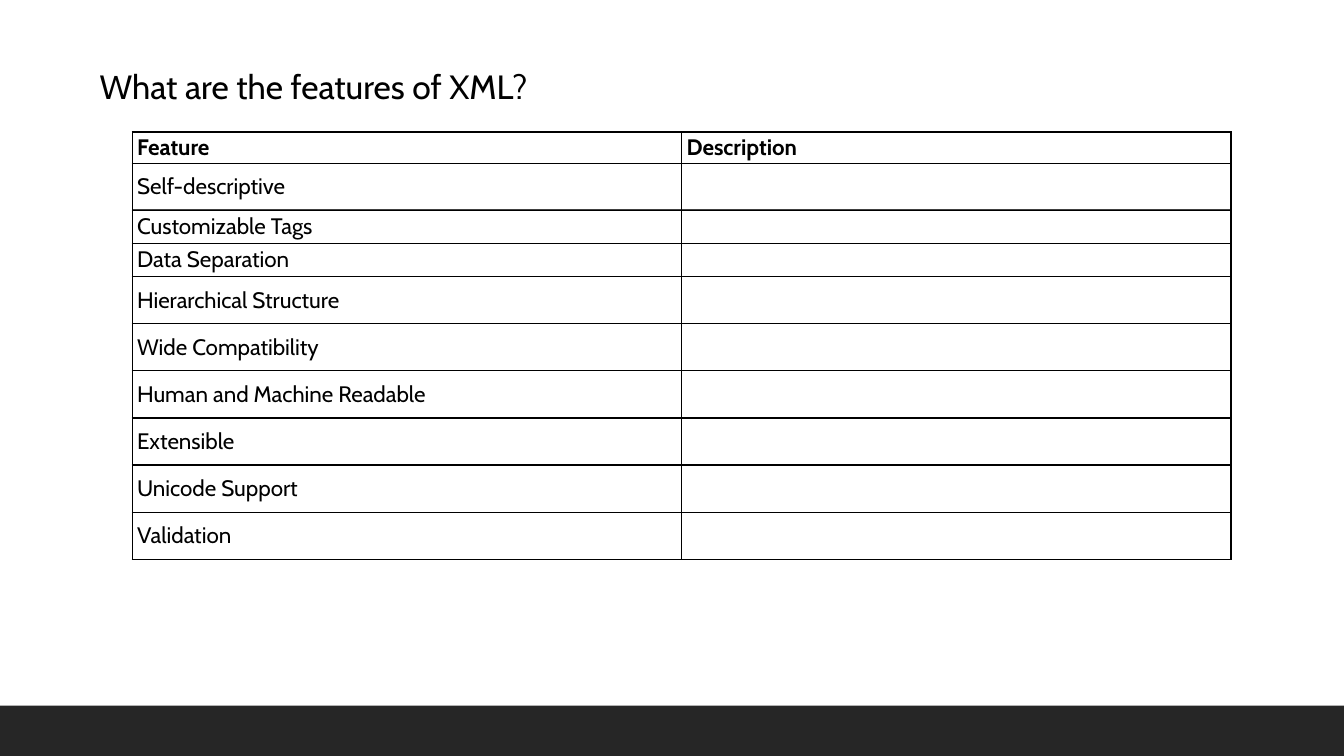
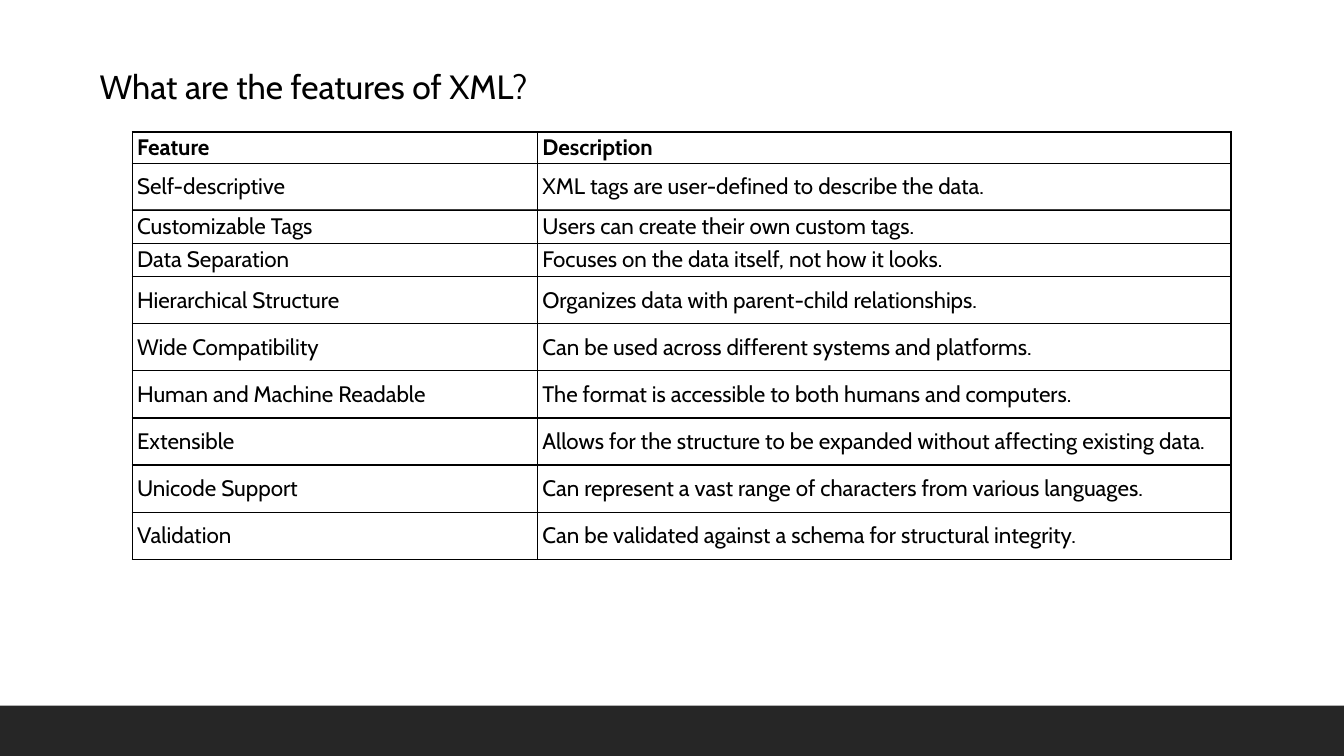
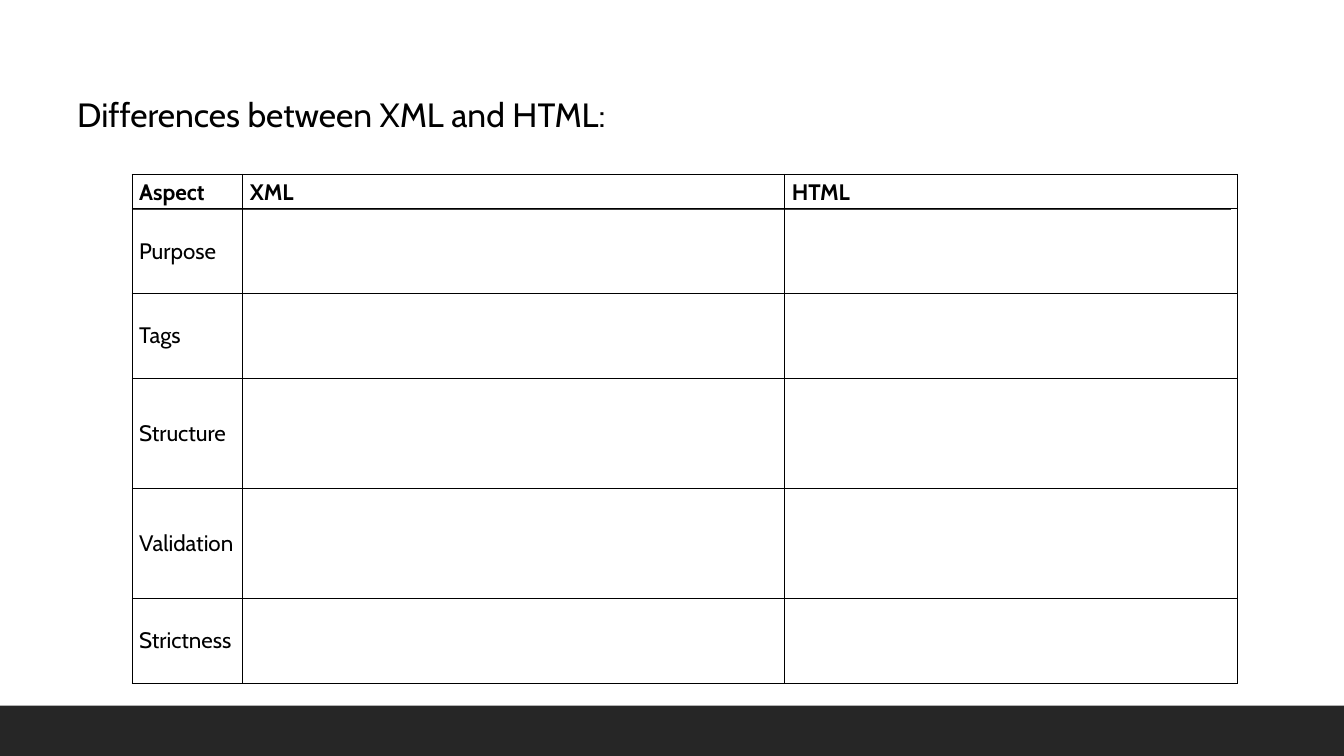
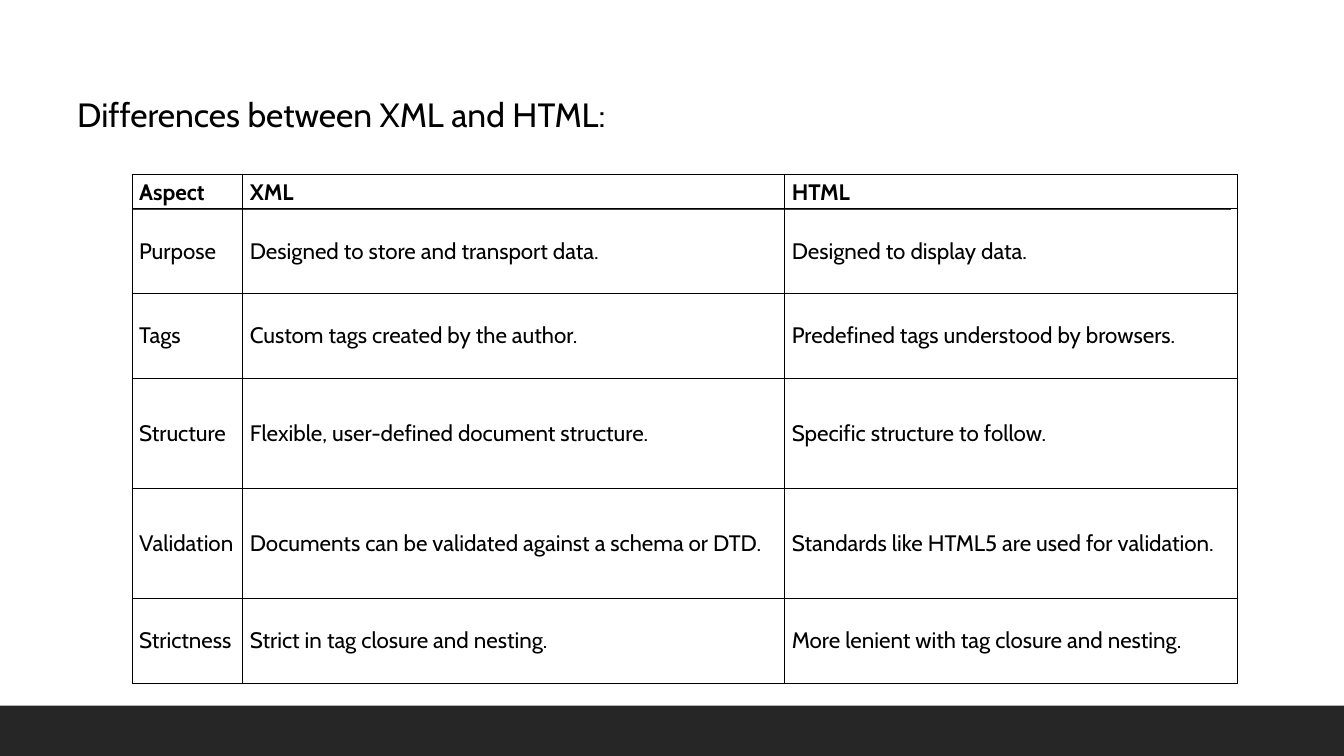
from dataclasses import dataclass

from lxml import etree
from pptx import Presentation, util as u
from pptx.dml.color import RGBColor
from pptx.enum import shapes, text
from pptx.oxml import ns


@dataclass(frozen=True)
class Theme:
    wide: float = 13.33
    high: float = 7.5
    font: str = "Cabin"
    ink: str = "000000"
    band: str = "262626"
    rule: str = "404040"
    paper: str = "FFFFFF"
    head: int = 24
    body: int = 16
    line: int = 1


LOOK = Theme()

TRAITS = [
    ("Feature", "Description"),
    ("Self-descriptive", "XML tags are user-defined to describe the data."),
    ("Customizable Tags", "Users can create their own custom tags."),
    ("Data Separation", "Focuses on the data itself, not how it looks."),
    ("Hierarchical Structure", "Organizes data with parent-child relationships."),
    ("Wide Compatibility", "Can be used across different systems and platforms."),
    ("Human and Machine Readable",
     "The format is accessible to both humans and computers."),
    ("Extensible",
     "Allows for the structure to be expanded without affecting existing data."),
    ("Unicode Support",
     "Can represent a vast range of characters from various languages."),
    ("Validation", "Can be validated against a schema for structural integrity."),
]

CONTRASTS = [
    ("Aspect", "XML", "HTML"),
    ("Purpose", "Designed to store and transport data.", "Designed to display data."),
    ("Tags", "Custom tags created by the author.",
     "Predefined tags understood by browsers."),
    ("Structure", "Flexible, user-defined document structure.",
     "Specific structure to follow."),
    ("Validation", "Documents can be validated against a schema or DTD.",
     "Standards like HTML5 are used for validation."),
    ("Strictness", "Strict in tag closure and nesting.",
     "More lenient with tag closure and nesting."),
]


def col(share):
    return u.Inches(LOOK.wide * share / 100)


def row(share):
    return u.Inches(LOOK.high * share / 100)


def box(left, top, width, height):
    return col(left), row(top), col(width), row(height)


def tint(code):
    return RGBColor.from_string(code)


def write(para, words, size, bold=False):
    run = para.add_run()
    run.text = words
    font = run.font
    font.name, font.size, font.bold = LOOK.font, u.Pt(size), bold
    font.color.rgb = tint(LOOK.ink)


def frame(deck):
    slide = deck.slides.add_slide(deck.slide_layouts[6])
    slide.background.fill.solid()
    slide.background.fill.fore_color.rgb = tint(LOOK.paper)
    band = slide.shapes.add_shape(
        shapes.MSO_SHAPE.RECTANGLE, *box(0, 93.33, 100, 6.67))
    band.shadow.inherit = False
    band.fill.solid()
    band.fill.fore_color.rgb = tint(LOOK.band)
    band.line.fill.background()
    rule = slide.shapes.add_connector(
        shapes.MSO_CONNECTOR.STRAIGHT,
        col(9.83), row(27.73), col(91.6), row(27.73))
    rule.line.color.rgb = tint(LOOK.rule)
    rule.line.width = u.Pt(LOOK.line)
    etree.SubElement(rule.element.spPr, ns.qn("a:effectLst"))
    return slide


def title(slide, words, left, top):
    area = slide.shapes.add_textbox(*box(left, top, 50, 6.67)).text_frame
    area.word_wrap = True
    area.auto_size = text.MSO_AUTO_SIZE.SHAPE_TO_FIT_TEXT
    write(area.paragraphs[0], words, LOOK.head)


def edge(cell):
    props = cell._tc.get_or_add_tcPr()
    for side in ("lnL", "lnR", "lnT", "lnB"):
        line = etree.SubElement(
            props, ns.qn(f"a:{side}"), w=str(u.Pt(LOOK.line)))
        fill = etree.SubElement(line, ns.qn("a:solidFill"))
        etree.SubElement(fill, ns.qn("a:srgbClr"), val=LOOK.ink)


def fit(parts, shares, total, attr):
    for part, share in zip(parts, shares):
        setattr(part, attr, int(total * share / sum(shares)))


def fill_cell(cell, words, first, pad):
    edge(cell)
    cell.fill.background()
    cell.margin_left = cell.margin_right = u.Pt(pad[0])
    cell.margin_top = cell.margin_bottom = u.Pt(pad[1])
    anchor = text.MSO_ANCHOR
    cell.vertical_anchor = anchor.BOTTOM if first else anchor.MIDDLE
    para = cell.text_frame.paragraphs[0]
    if words:
        write(para, words, LOOK.body, first)
    else:
        etree.SubElement(
            para._p, ns.qn("a:endParaRPr"), sz=str(LOOK.body * 100))


def grid(slide, data, area, widths, heights, pad, full):
    left, top, wide, high = box(*area)
    table = slide.shapes.add_table(
        len(data), len(widths), left, top, wide, high).table
    table.first_row = table.horz_banding = False
    fit(table.columns, widths, wide, "width")
    fit(table.rows, heights, high, "height")
    for r, line in enumerate(data):
        for c, words in enumerate(line):
            shown = words if full or r == 0 or c == 0 else ""
            fill_cell(table.cell(r, c), shown, r == 0, pad)


def traits(deck, widths, full):
    slide = frame(deck)
    heights = [0.31, 0.47] + [0.33] * 2 + [0.47] * 6
    grid(slide, TRAITS, (9.83, 17.47, 81.77, 56.53),
         widths, heights, (3.6, 1.44), full)
    title(slide, "What are the features of XML?", 6.67, 8)


def contrasts(deck, full):
    slide = frame(deck)
    grid(slide, CONTRASTS, (9.83, 23.07, 82.22, 67.33),
         [1.1, 5.38, 4.49], [0.34, 0.84, 0.84, 1.09, 1.09, 0.84],
         (5.04, 2.16), full)
    title(slide, "Differences between XML and HTML:", 5, 11.73)


def main():
    deck = Presentation()
    deck.slide_width, deck.slide_height = col(100), row(100)
    traits(deck, [1, 1], False)
    traits(deck, [4.02, 6.88], True)
    contrasts(deck, False)
    contrasts(deck, True)
    deck.save("out.pptx")


if __name__ == "__main__":
    main()
